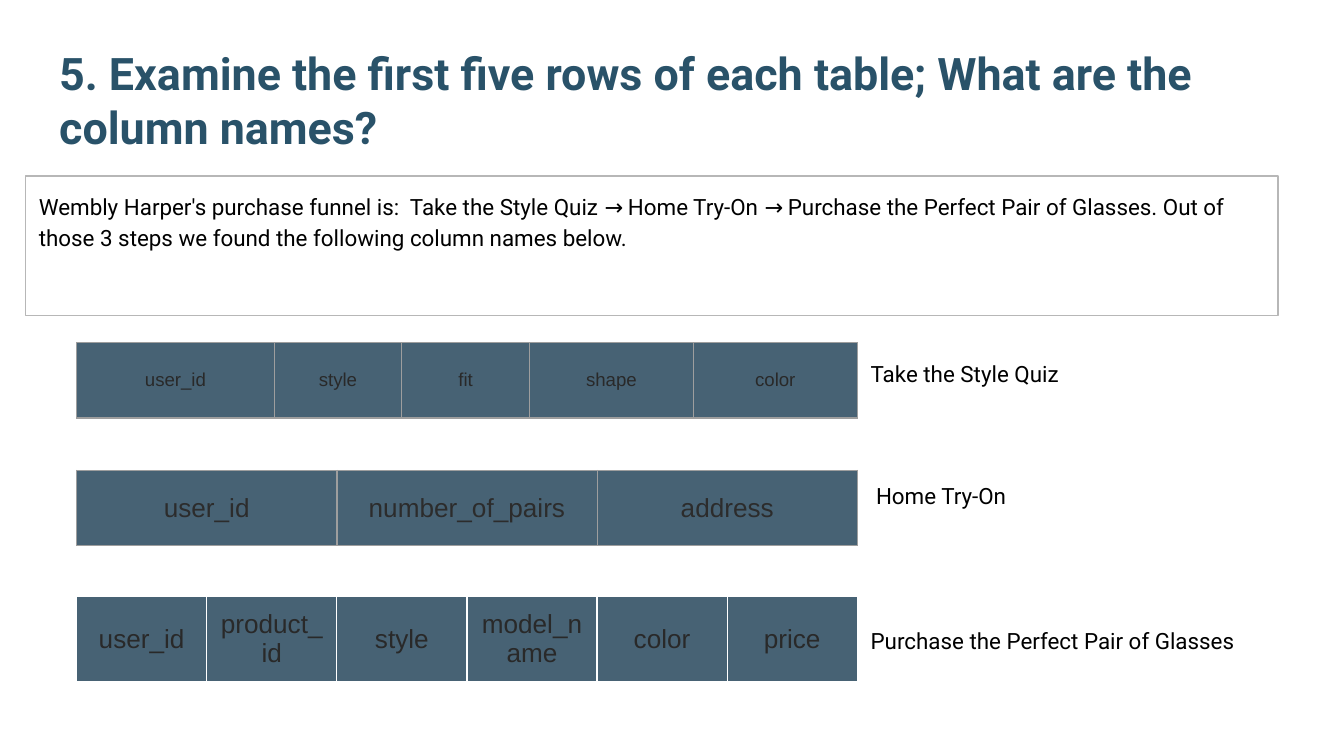
from dataclasses import dataclass

import pptx
import pptx.dml.color
import pptx.enum.shapes
import pptx.enum.text
import pptx.oxml
import pptx.oxml.ns
import pptx.util

Inches = pptx.util.Inches
Pt = pptx.util.Pt
Alignment = pptx.enum.text.PP_ALIGN
Anchor = pptx.enum.text.MSO_ANCHOR


@dataclass(frozen=True)
class Theme:
    heading: str = "295269"
    text: str = "000000"
    cell_fill: str = "476274"
    cell_text: str = "292929"
    muted_cell_text: str = "2C2C2C"
    panel_line: str = "B7B7B7"
    grid: str = "9E9E9E"
    white: str = "FFFFFF"
    body_font: str = "Roboto"
    table_font: str = "Arial"
    title_size: float = 24
    body_size: float = 12
    large_cell_size: float = 14
    small_cell_size: float = 10
    line_width: float = 0.75


THEME = Theme()
SLIDE_WIDTH = 10
SLIDE_HEIGHT = SLIDE_WIDTH * 9 / 16
TABLE_LEFT = 0.57
TABLE_WIDTH = 5.81


@dataclass(frozen=True)
class FunnelStep:
    label: str
    label_left: float
    label_top: float
    label_width: float
    columns: tuple[str, ...]
    weights: tuple[float, ...]
    top: float
    height: float
    size: float
    text_color: str
    border: str


STEPS = (
    FunnelStep("Take the Style Quiz", 6.38, 2.63, 1.67,
               ("user_id", "style", "fit", "shape", "color"), (1.47, 0.95, 0.95, 1.22, 1.22),
               2.55, 0.56, THEME.small_cell_size, THEME.cell_text, THEME.grid),
    FunnelStep("Home Try-On", 6.42, 3.54, 1.23,
               ("user_id", "number_of_pairs", "address"), (1,) * 3,
               3.5, 0.56, THEME.large_cell_size, THEME.muted_cell_text, THEME.grid),
    FunnelStep("Purchase the Perfect Pair of Glasses", 6.38, 4.62, 2.94,
               ("user_id", "product_id", "style", "model_name", "color", "price"), (1,) * 6,
               4.44, 0.63, THEME.large_cell_size, THEME.cell_text, THEME.white),
)


def rgb(value: str) -> pptx.dml.color.RGBColor:
    return pptx.dml.color.RGBColor.from_string(value)


def write_text(text_frame, text: str, size: float, color: str, font: str = THEME.body_font,
               bold: bool = False, alignment=Alignment.LEFT) -> None:
    text_frame.text = text
    for paragraph in text_frame.paragraphs:
        paragraph.alignment = alignment
        for run in paragraph.runs:
            run.font.name = font
            run.font.size = Pt(size)
            run.font.bold = bold
            run.font.color.rgb = rgb(color)


def set_margins(text_frame, margin: float) -> None:
    text_frame.margin_left = text_frame.margin_right = Inches(margin)
    text_frame.margin_top = text_frame.margin_bottom = Inches(margin)


def set_borders(cell, color: str) -> None:
    properties = cell._tc.get_or_add_tcPr()
    namespace = pptx.oxml.ns.nsdecls("a")
    for index, side in enumerate(("lnL", "lnR", "lnT", "lnB")):
        border = pptx.oxml.parse_xml(
            f'<a:{side} {namespace} w="{Pt(THEME.line_width)}"><a:solidFill>'
            f'<a:srgbClr val="{color}"/></a:solidFill></a:{side}>')
        properties.insert(index, border)


def add_title(slide, text: str) -> None:
    title = slide.shapes.title
    title.left, title.top = Inches(0.34), Inches(0.32)
    title.width, title.height = Inches(9.32), Inches(0.92)
    text_frame = title.text_frame
    write_text(text_frame, text, THEME.title_size, THEME.heading, bold=True)
    set_margins(text_frame, 0.1)
    text_frame.word_wrap = True
    text_frame.auto_size = pptx.enum.text.MSO_AUTO_SIZE.NONE
    text_frame.vertical_anchor = Anchor.BOTTOM


def add_panel(slide, text: str) -> None:
    panel = slide.shapes.add_shape(pptx.enum.shapes.MSO_SHAPE.RECTANGLE,
                                   Inches(0.19), Inches(1.31), Inches(9.32), Inches(1.04))
    panel.shadow.inherit = False
    panel.fill.background()
    panel.line.color.rgb = rgb(THEME.panel_line)
    panel.line.width = Pt(THEME.line_width)
    text_frame = panel.text_frame
    write_text(text_frame, text, THEME.body_size, THEME.text)
    set_margins(text_frame, 0.1)
    text_frame.word_wrap = True
    text_frame.vertical_anchor = Anchor.TOP
    text_frame.paragraphs[0].line_spacing = 1.15


def add_step_table(slide, step: FunnelStep) -> None:
    table = slide.shapes.add_table(1, len(step.columns), Inches(TABLE_LEFT), Inches(step.top),
                                   Inches(TABLE_WIDTH), Inches(step.height)).table
    table.first_row = False
    table.horz_banding = False
    for index, (name, weight) in enumerate(zip(step.columns, step.weights)):
        table.columns[index].width = Inches(TABLE_WIDTH * weight / sum(step.weights))
        cell = table.cell(0, index)
        write_text(cell.text_frame, name, step.size, step.text_color,
                   font=THEME.table_font, alignment=Alignment.CENTER)
        cell.vertical_anchor = Anchor.MIDDLE
        cell.fill.solid()
        cell.fill.fore_color.rgb = rgb(THEME.cell_fill)
        set_borders(cell, step.border)


def add_step_label(slide, step: FunnelStep) -> None:
    label = slide.shapes.add_textbox(Inches(step.label_left), Inches(step.label_top),
                                     Inches(step.label_width), Inches(0.3))
    text_frame = label.text_frame
    write_text(text_frame, step.label, THEME.body_size, THEME.text)
    text_frame.word_wrap = False
    text_frame.auto_size = pptx.enum.text.MSO_AUTO_SIZE.SHAPE_TO_FIT_TEXT


def main() -> None:
    presentation = pptx.Presentation()
    presentation.slide_width = Inches(SLIDE_WIDTH)
    presentation.slide_height = Inches(SLIDE_HEIGHT)
    slide = presentation.slides.add_slide(presentation.slide_layouts.get_by_name("Title Only"))
    add_title(slide, "5. Examine the first five rows of each table; What are the column names?")
    add_panel(slide, "Wembly Harper's purchase funnel is:  Take the Style Quiz → Home Try-On → "
                     "Purchase the Perfect Pair of Glasses. Out of those 3 steps we found "
                     "the following column names below.")
    for step in STEPS:
        add_step_table(slide, step)
    for step in STEPS:
        add_step_label(slide, step)
    presentation.save("out.pptx")


if __name__ == "__main__":
    main()
